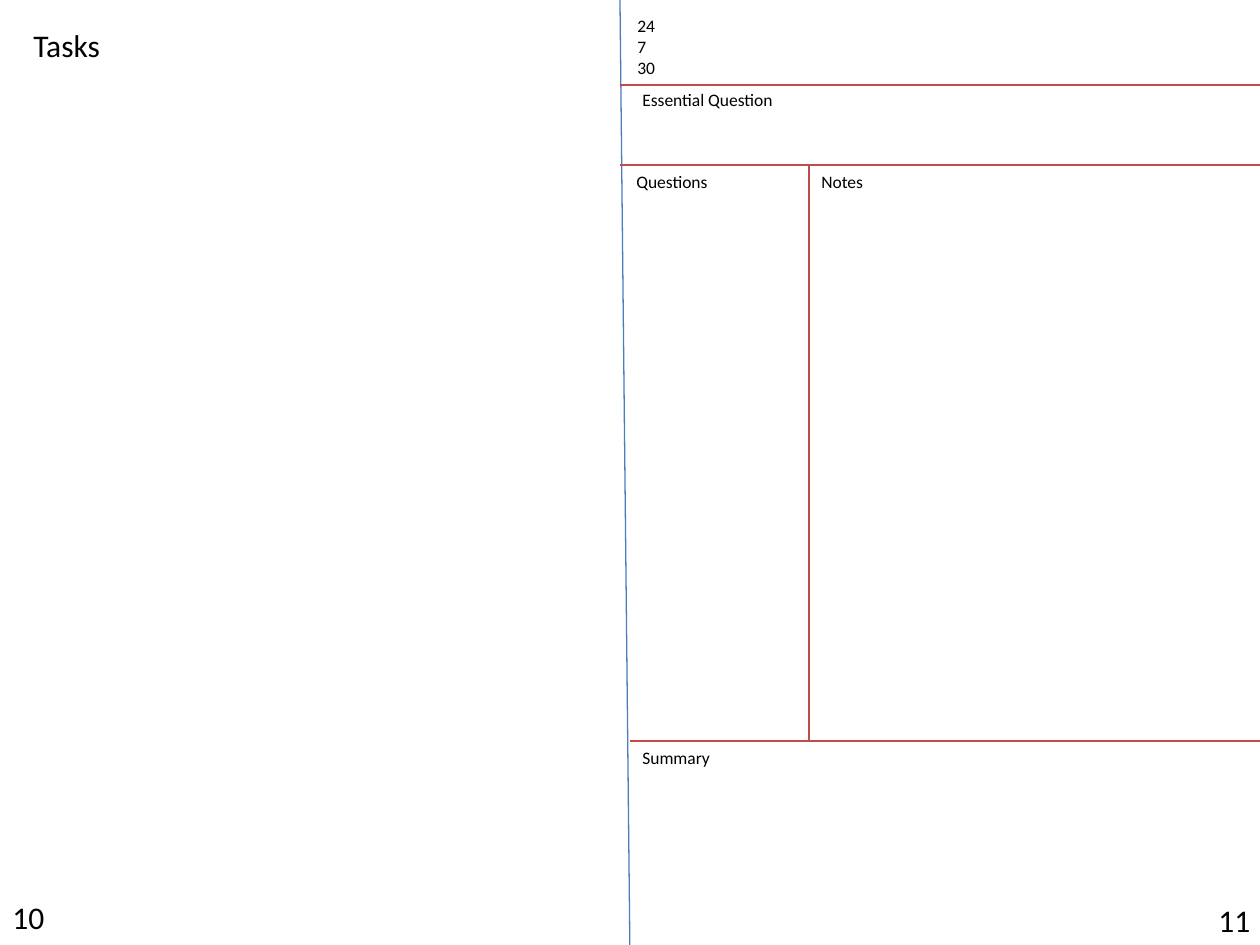
from typing import NamedTuple

from lxml.etree import SubElement
from pptx import Presentation
from pptx.dml.color import RGBColor
from pptx.enum.shapes import MSO_CONNECTOR
from pptx.enum.text import MSO_AUTO_SIZE
from pptx.oxml.ns import qn
from pptx.slide import Slide
from pptx.util import Emu, Pt

EMU_PER_PX = 914400 / 126
SLIDE_WIDTH, SLIDE_HEIGHT = 1260, 945
BLUE, RED, BLACK = "4B7EBC", "BF4C48", "000000"

# Edges of the note-taking page
PAGE_LEFT = 620
HEADER_BOTTOM = 85
NOTES_TOP = 165
NOTES_LEFT = 809
SUMMARY_TOP = 741
SUMMARY_LEFT = 630


class Rule(NamedTuple):
    x1: int
    y1: int
    x2: int
    y2: int
    color: str = RED


class Label(NamedTuple):
    text: str
    left: int
    top: int
    width: int
    height: int = 34
    size: int = 10
    wrap: bool = False


RULES = [
    Rule(PAGE_LEFT, 0, SUMMARY_LEFT, 959, BLUE),
    Rule(PAGE_LEFT, HEADER_BOTTOM, SLIDE_WIDTH, HEADER_BOTTOM),
    Rule(PAGE_LEFT, NOTES_TOP, SLIDE_WIDTH, NOTES_TOP),
    Rule(SUMMARY_LEFT, SUMMARY_TOP, 1281, SUMMARY_TOP),
    Rule(NOTES_LEFT, NOTES_TOP, NOTES_LEFT, SUMMARY_TOP),
]

LABELS = [
    Label("10", 0, 892, 58, 50, 18),
    Label("11", 1206, 895, 76, 50, 18, True),
    Label("24\n7\n30", 625, 9, 59, 77, wrap=True),
    Label("Essential Question", SUMMARY_LEFT, 83, 158),
    Label("Notes", NOTES_LEFT, NOTES_TOP, 68),
    Label("Questions", 624, NOTES_TOP, 98),
    Label("Summary", SUMMARY_LEFT, SUMMARY_TOP, 93),
    Label("Tasks", 21, 20, 92, 50, 18),
]


def px(length: int) -> Emu:
    return Emu(round(length * EMU_PER_PX))


def rgb(color: str) -> RGBColor:
    return RGBColor.from_string(color)


def draw_rule(slide: Slide, rule: Rule) -> None:
    connector = slide.shapes.add_connector(
        MSO_CONNECTOR.STRAIGHT, px(rule.x1), px(rule.y1), px(rule.x2), px(rule.y2)
    )
    connector.line.color.rgb = rgb(rule.color)
    connector.line.width = Pt(0.75)
    SubElement(connector.element.spPr, qn("a:effectLst"))


def draw_label(slide: Slide, label: Label) -> None:
    shape = slide.shapes.add_textbox(
        px(label.left), px(label.top), px(label.width), px(label.height)
    )
    text_frame = shape.text_frame
    text_frame.text = label.text
    text_frame.word_wrap = label.wrap
    text_frame.auto_size = MSO_AUTO_SIZE.SHAPE_TO_FIT_TEXT
    for paragraph in text_frame.paragraphs:
        paragraph.font.name = "Calibri"
        paragraph.font.size = Pt(label.size)
        paragraph.font.color.rgb = rgb(BLACK)


def main() -> None:
    presentation = Presentation()
    presentation.slide_width = px(SLIDE_WIDTH)
    presentation.slide_height = px(SLIDE_HEIGHT)
    slide = presentation.slides.add_slide(presentation.slide_layouts[6])
    for rule in RULES:
        draw_rule(slide, rule)
    for label in LABELS:
        draw_label(slide, label)
    presentation.save("out.pptx")


if __name__ == "__main__":
    main()
